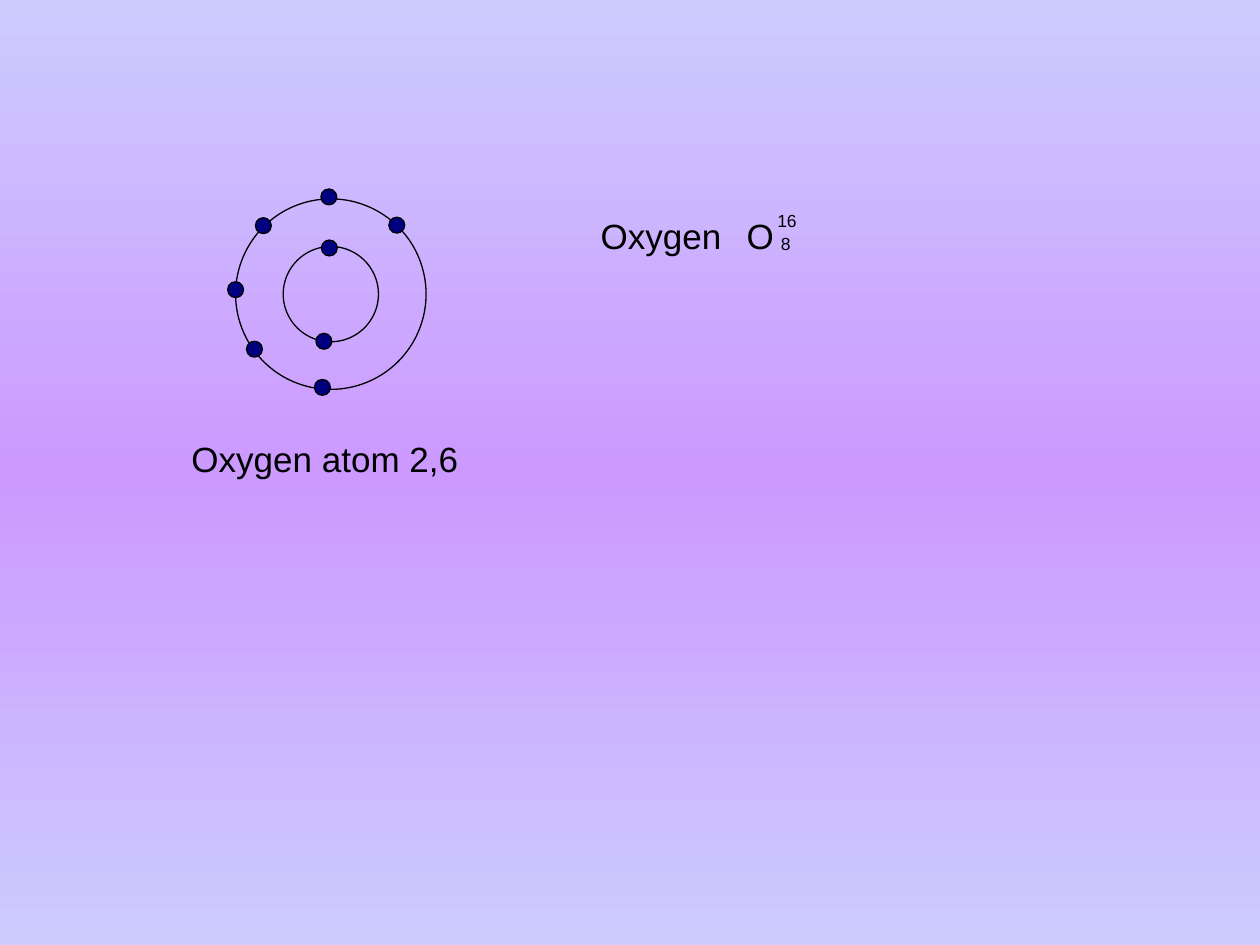
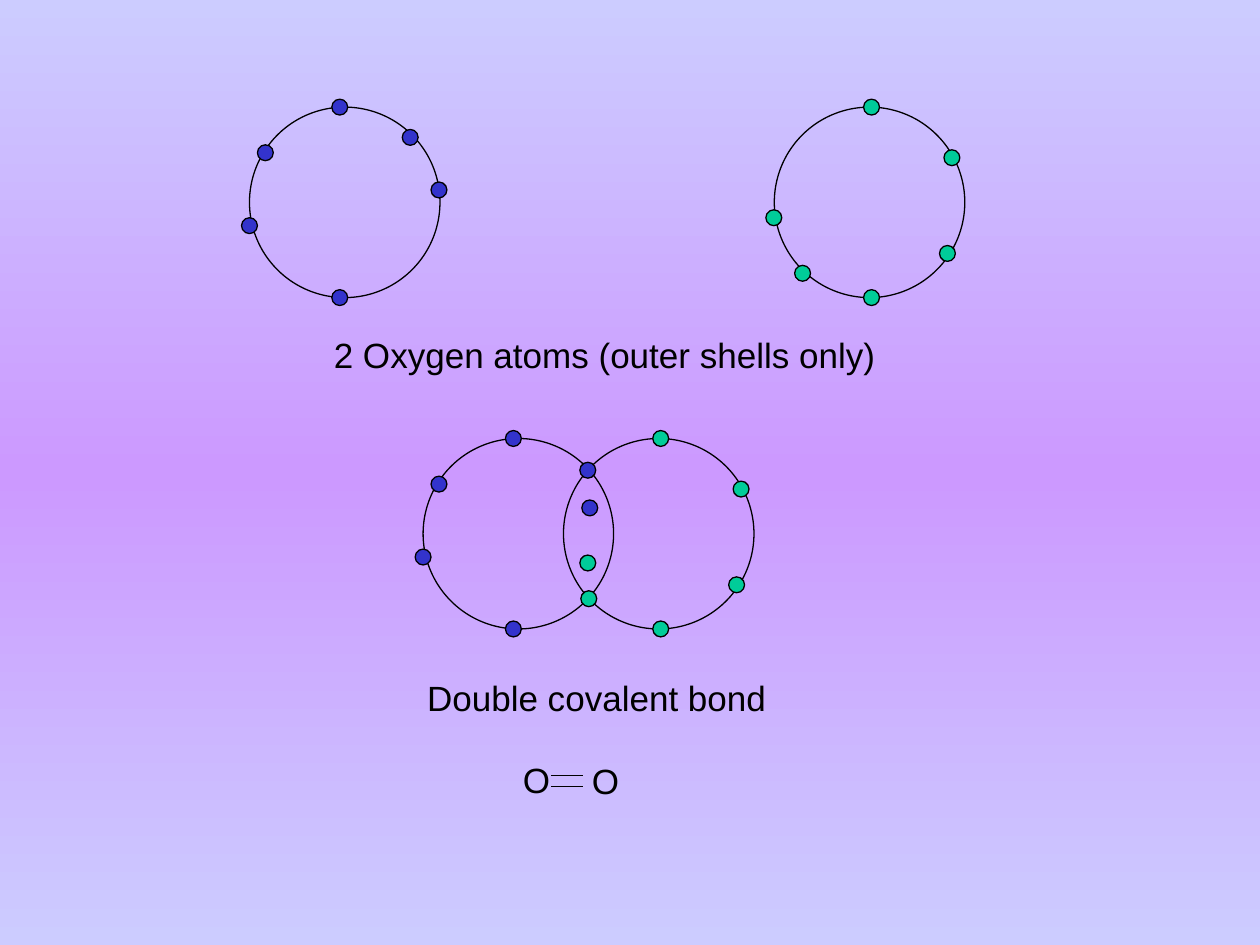
from copy import deepcopy

from pptx import Presentation
from pptx.dml.color import RGBColor
from pptx.enum.shapes import MSO_CONNECTOR as Connector, MSO_SHAPE as Shape
from pptx.enum.text import MSO_AUTO_SIZE as AutoSize
from pptx.oxml.ns import qn
from pptx.oxml.xmlchemy import OxmlElement
from pptx.util import Cm, Pt

BLACK = RGBColor(0x00, 0x00, 0x00)
NAVY = RGBColor(0x00, 0x00, 0x80)
BLUE = RGBColor(0x33, 0x33, 0xCC)
GREEN = RGBColor(0x00, 0xCC, 0x99)
LAVENDER = RGBColor(0xCC, 0xCC, 0xFF)
VIOLET = RGBColor(0xCC, 0x99, 0xFF)

FONT = "Arial"
OUTLINE = Pt(0.75)
OUTER_SHELL = 3.84
INNER_SHELL = 1.92
ELECTRON = 0.32


def add_circle(slide, x, y, diameter, color=None):
    circle = slide.shapes.add_shape(
        Shape.OVAL, Cm(x - diameter / 2), Cm(y - diameter / 2), Cm(diameter), Cm(diameter))
    circle.shadow.inherit = False
    circle.line.color.rgb = BLACK
    circle.line.width = OUTLINE
    if color is None:
        circle.fill.background()
    else:
        circle.fill.solid()
        circle.fill.fore_color.rgb = color


def add_text(slide, text, left, top, width, height=1.12, size=20, wrap=True):
    frame = slide.shapes.add_textbox(Cm(left), Cm(top), Cm(width), Cm(height)).text_frame
    frame.word_wrap = wrap
    frame.auto_size = AutoSize.SHAPE_TO_FIT_TEXT
    run = frame.paragraphs[0].add_run()
    run.text = text
    run.font.name = FONT
    run.font.size = Pt(size)
    run.font.color.rgb = BLACK


prs = Presentation()
prs.slide_width = Cm(25.4)
prs.slide_height = Cm(19.05)
blank = prs.slide_layouts[6]

backdrop = prs.slide_master.background.fill
backdrop.gradient()
backdrop.gradient_angle = 270
stop_list = next(prs.slide_master.element.iter(qn("a:gsLst")))
stop_list.append(deepcopy(stop_list[0]))
for stop, position, color in zip(
        backdrop.gradient_stops, (0, 0.5, 1), (LAVENDER, VIOLET, LAVENDER)):
    stop.position = position
    stop.color.rgb = color

atom_slide = prs.slides.add_slide(blank)
for shell in (INNER_SHELL, OUTER_SHELL):
    add_circle(atom_slide, 6.67, 5.93, shell)
inner_electrons = [(6.53, 6.88), (6.64, 5.0)]
outer_electrons = [(5.13, 7.04), (5.31, 4.55), (4.75, 5.84),
                   (6.63, 3.97), (6.5, 7.81), (8.0, 4.54)]
for x, y in inner_electrons + outer_electrons:
    add_circle(atom_slide, x, y, ELECTRON, NAVY)

add_text(atom_slide, "Oxygen", 11.86, 4.19, 3.6)
add_text(atom_slide, "O", 14.8, 4.19, 1.04, wrap=False)
add_text(atom_slide, "16", 15.42, 4.11, 0.91, height=0.69, size=10)
add_text(atom_slide, "8", 15.49, 4.57, 0.69, height=0.69, size=10, wrap=False)
add_text(atom_slide, "Oxygen atom 2,6", 3.61, 8.69, 6.35)

bond_slide = prs.slides.add_slide(blank)
add_text(bond_slide, "2 Oxygen atoms (outer shells only)", 6.48, 6.6, 12.45)

blue_unshared = [(-0.1, -1.92), (-1.6, -1.0), (-1.92, 0.47), (-0.1, 1.92)]
green_unshared = [(0.04, -1.92), (1.66, -0.9), (1.57, 1.03), (0.04, 1.92)]
atoms = [
    (17.53, 4.08, GREEN, green_unshared + [(-1.93, 0.31), (-1.35, 1.43)]),
    (6.95, 4.08, BLUE, blue_unshared + [(1.32, -1.31), (1.9, -0.25)]),
    (13.28, 10.76, GREEN, green_unshared + [(-1.43, 0.59), (-1.41, 1.31)]),
    (10.45, 10.76, BLUE, blue_unshared + [(1.4, -1.28), (1.44, -0.52)]),
]
for x, y, color, electrons in atoms:
    add_circle(bond_slide, x, y, OUTER_SHELL)
for x, y, color, electrons in atoms:
    for dx, dy in electrons:
        add_circle(bond_slide, x + dx, y + dy, ELECTRON, color)

add_text(bond_slide, "Double covalent bond", 8.36, 13.51, 7.34, wrap=False)
add_text(bond_slide, "O", 10.29, 15.16, 0.99)
add_text(bond_slide, "O", 11.68, 15.19, 1.04, wrap=False)
for y in (15.64, 15.85):
    bond = bond_slide.shapes.add_connector(
        Connector.STRAIGHT, Cm(11.11), Cm(y), Cm(11.76), Cm(y))
    bond.line.color.rgb = BLACK
    bond.line.width = OUTLINE
    bond.element.spPr.append(OxmlElement("a:effectLst"))

prs.save("out.pptx")
